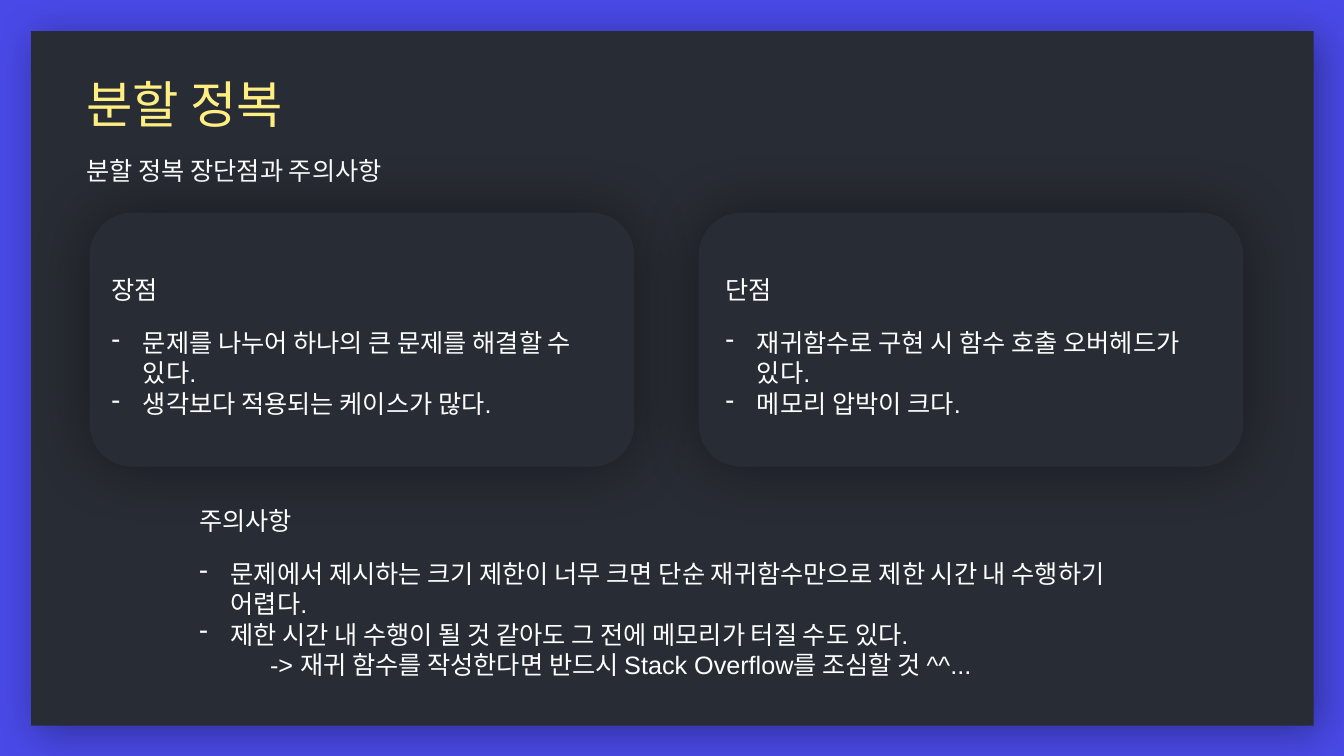
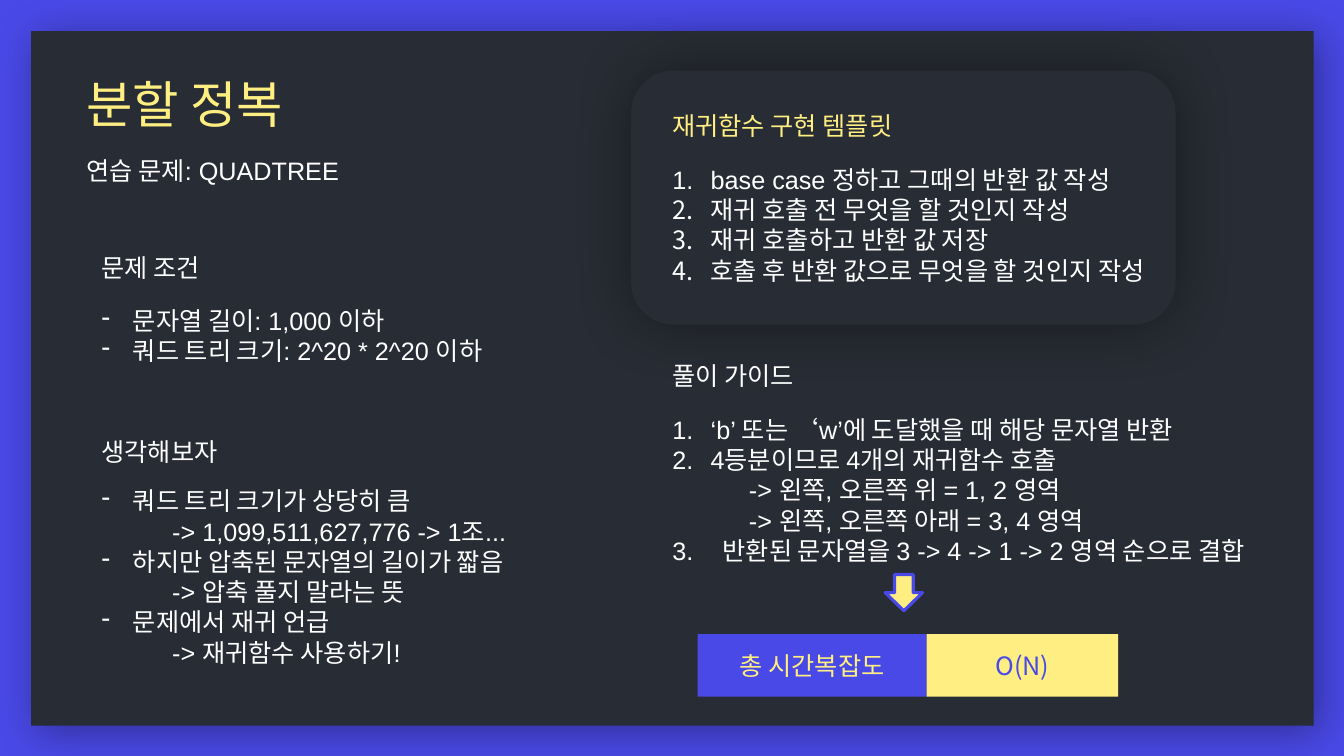
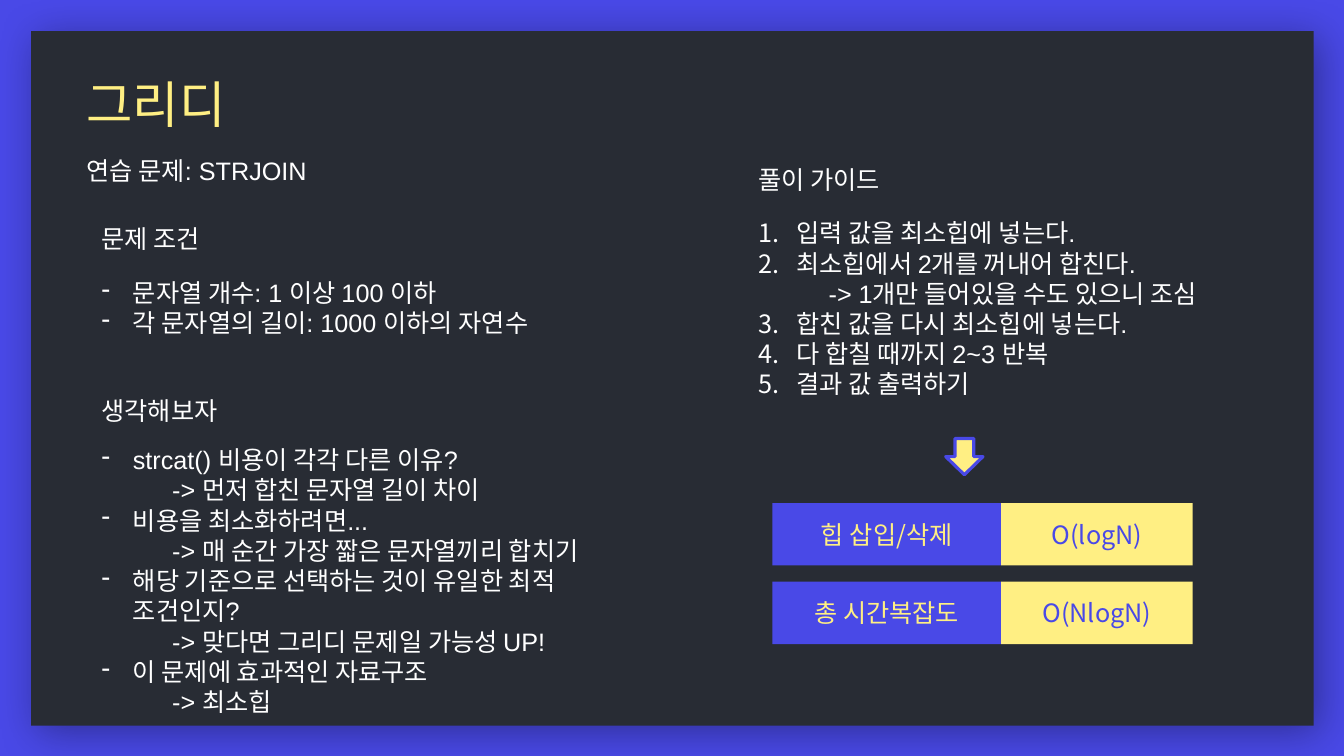
from lxml import etree
from pptx import Presentation
from pptx.dml.color import RGBColor
from pptx.enum.shapes import MSO_SHAPE as SHAPE
from pptx.enum.text import MSO_ANCHOR as ANCHOR, PP_ALIGN as ALIGN
from pptx.oxml.ns import qn
from pptx.util import Inches, Pt

BLUE = RGBColor(0x49, 0x49, 0xE7)
DARK = RGBColor(0x28, 0x2C, 0x34)
YELLOW = RGBColor(0xFF, 0xEF, 0x83)
WHITE = RGBColor(0xFF, 0xFF, 0xFF)
SANS = "Noto Sans CJK KR"
LATIN = "Arial"

DASH, NUMBER, ARROW, TABBED = "dash", "number", "arrow", "tabbed"
HANGING = {DASH: 0.31, NUMBER: 0.38}


def add_shape(slide, kind, left, top, width, height, fill):
    shape = slide.shapes.add_shape(
        kind, Inches(left), Inches(top), Inches(width), Inches(height))
    shape.shadow.inherit = False
    shape.fill.solid()
    shape.fill.fore_color.rgb = fill
    shape.line.fill.background()
    return shape


def add_soft_shadow(shape, opacity, blur, distance=0, angle=0):
    effects = shape._element.spPr.find(qn("a:effectLst"))
    shadow = etree.SubElement(
        effects, qn("a:outerShdw"), blurRad=str(Pt(blur)),
        dist=str(Pt(distance)), dir=str(angle * 60000),
        algn="ctr", rotWithShape="0")
    color = etree.SubElement(shadow, qn("a:srgbClr"), val="000000")
    etree.SubElement(color, qn("a:alpha"), val=str(opacity * 1000))


def write(paragraph, text, color=WHITE, size=18, font=SANS):
    paragraph.line_spacing = Pt(size * 1.2)
    run = paragraph.add_run()
    run.text = text
    run.font.size = Pt(size)
    run.font.color.rgb = color
    run.font.name = font
    etree.SubElement(run.font._element, qn("a:ea"), typeface=SANS)


def add_text_frame(slide, left, top, width, height=0.4):
    box = slide.shapes.add_textbox(
        Inches(left), Inches(top), Inches(width), Inches(height))
    box.text_frame.word_wrap = True
    return box.text_frame


def add_label(slide, text, left, top, width=5.4, height=0.4, **style):
    frame = add_text_frame(slide, left, top, width, height)
    write(frame.paragraphs[0], text, **style)


def indent(paragraph, margin, first_line=0):
    properties = paragraph._p.get_or_add_pPr()
    properties.set("marL", str(Inches(margin)))
    properties.set("indent", str(Inches(first_line)))
    return properties


def add_list(slide, items, left, top, width, arrow_indent=0.7):
    """Write (kind, text) items; numbering resumes after an arrow line."""
    frame = add_text_frame(slide, left, top, width, 0.3 * len(items) + 0.1)
    count, start, previous = 0, 1, None
    for index, (kind, text) in enumerate(items):
        paragraph = frame.add_paragraph() if index else frame.paragraphs[0]
        write(paragraph, text, font=LATIN)
        if kind == ARROW:
            indent(paragraph, arrow_indent)
        elif kind == TABBED:
            tabs = etree.SubElement(indent(paragraph, 0), qn("a:tabLst"))
            etree.SubElement(tabs, qn("a:tab"), pos=str(Inches(0.47)), algn="l")
        else:
            hang = HANGING[kind]
            properties = indent(paragraph, hang, -hang)
            if kind == DASH:
                etree.SubElement(properties, qn("a:buChar"), char="-")
            else:
                count += 1
                if previous != NUMBER:
                    start = count
                etree.SubElement(properties, qn("a:buAutoNum"),
                                 type="arabicPeriod", startAt=str(start))
        previous = kind


def add_section(slide, heading, items, left, top, width,
                gap=0.53, color=WHITE, arrow_indent=0.7):
    add_label(slide, heading, left, top, color=color)
    add_list(slide, items, left, top + gap, width, arrow_indent)


def add_card(slide, left, top):
    card = add_shape(slide, SHAPE.ROUNDED_RECTANGLE, left, top, 5.4, 2.52, DARK)
    add_soft_shadow(card, 40, 45)


def add_down_arrow(slide, left, top):
    arrow = add_shape(slide, SHAPE.DOWN_ARROW, left, top, 0.37, 0.36, YELLOW)
    arrow.line.color.rgb = BLUE
    arrow.line.width = Pt(2.25)


def add_complexity(slide, name, cost, left, top):
    name_width, cost_width = 2.27, 1.9
    for text, x, width, fill, color in (
            (name, left, name_width, BLUE, YELLOW),
            (cost, left + name_width, cost_width, YELLOW, BLUE)):
        cell = add_shape(slide, SHAPE.RECTANGLE, x, top, width, 0.62, fill)
        cell.text_frame.vertical_anchor = ANCHOR.MIDDLE
        paragraph = cell.text_frame.paragraphs[0]
        paragraph.alignment = ALIGN.CENTER
        write(paragraph, text, color)


def new_slide(prs, title, subtitle):
    slide = prs.slides.add_slide(prs.slide_layouts[6])
    slide.background.fill.solid()
    slide.background.fill.fore_color.rgb = BLUE
    panel = add_shape(slide, SHAPE.RECTANGLE, 0.31, 0.31, 12.72, 6.89, DARK)
    add_soft_shadow(panel, 35, 30, 6, 45)
    add_label(slide, title, 0.76, 0.68, 7.64, 0.71, color=YELLOW, size=36)
    add_label(slide, subtitle, 0.76, 1.49, 3.18, font=LATIN)
    return slide


def build_pros_and_cons(prs):
    slide = new_slide(prs, "분할 정복", "분할 정복 장단점과 주의사항")
    card_text_width = 5
    for left in (6.93, 0.89):
        add_card(slide, left, 2.11)
    add_section(slide, "장점", [
        (DASH, "문제를 나누어 하나의 큰 문제를 해결할 수 있다."),
        (DASH, "생각보다 적용되는 케이스가 많다."),
    ], 1.01, 2.67, card_text_width)
    add_section(slide, "단점", [
        (DASH, "재귀함수로 구현 시 함수 호출 오버헤드가 있다."),
        (DASH, "메모리 압박이 크다."),
    ], 7.1, 2.67, card_text_width)
    add_section(slide, "주의사항", [
        (DASH, "문제에서 제시하는 크기 제한이 너무 크면 단순 재귀함수만으로 "
               "제한 시간 내 수행하기 어렵다."),
        (DASH, "제한 시간 내 수행이 될 것 같아도 그 전에 메모리가 터질 수도 있다."),
        (ARROW, "-> 재귀 함수를 작성한다면 반드시 Stack Overflow를 조심할 것 ^^..."),
    ], 1.88, 4.96, 9.75)


def build_quadtree(prs):
    slide = new_slide(prs, "분할 정복", "연습 문제: QUADTREE")
    add_card(slide, 6.26, 0.7)
    add_section(slide, "문제 조건", [
        (DASH, "문자열 길이: 1,000 이하"),
        (DASH, "쿼드 트리 크기: 2^20 * 2^20 이하"),
    ], 0.91, 2.45, 4.18)
    add_section(slide, "생각해보자", [
        (DASH, "쿼드 트리 크기가 상당히 큼"),
        (ARROW, "-> 1,099,511,627,776 -> 1조..."),
        (DASH, "하지만 압축된 문자열의 길이가 짧음"),
        (ARROW, "-> 압축 풀지 말라는 뜻"),
        (DASH, "문제에서 재귀 언급"),
        (ARROW, "-> 재귀함수 사용하기!"),
    ], 0.91, 4.28, 5.02, gap=0.49)
    add_section(slide, "재귀함수 구현 템플릿", [
        (NUMBER, "base case 정하고 그때의 반환 값 작성"),
        (NUMBER, "재귀 호출 전 무엇을 할 것인지 작성"),
        (NUMBER, "재귀 호출하고 반환 값 저장"),
        (NUMBER, "호출 후 반환 값으로 무엇을 할 것인지 작성"),
    ], 6.57, 1.05, 5.98, color=YELLOW)
    add_section(slide, "풀이 가이드", [
        (NUMBER, "‘b’ 또는 ‘w’에 도달했을 때 해당 문자열 반환"),
        (NUMBER, "4등분이므로 4개의 재귀함수 호출"),
        (ARROW, "-> 왼쪽, 오른쪽 위 = 1, 2 영역"),
        (ARROW, "-> 왼쪽, 오른쪽 아래 = 3, 4 영역"),
        (TABBED, "3.\t반환된 문자열을 3 -> 4 -> 1 -> 2 영역 순으로 결합"),
    ], 6.57, 3.53, 5.98, arrow_indent=0.76)
    add_down_arrow(slide, 8.78, 5.7)
    add_complexity(slide, "총 시간복잡도", "O(N)", 6.92, 6.29)


def build_strjoin(prs):
    slide = new_slide(prs, "그리디", "연습 문제: STRJOIN")
    add_section(slide, "문제 조건", [
        (DASH, "문자열 개수: 1 이상 100 이하"),
        (DASH, "각 문자열의 길이: 1000 이하의 자연수"),
    ], 0.91, 2.17, 4.47)
    add_section(slide, "생각해보자", [
        (DASH, "strcat() 비용이 각각 다른 이유?"),
        (ARROW, "-> 먼저 합친 문자열 길이 차이"),
        (DASH, "비용을 최소화하려면..."),
        (ARROW, "-> 매 순간 가장 짧은 문자열끼리 합치기"),
        (DASH, "해당 기준으로 선택하는 것이 유일한 최적 조건인지?"),
        (ARROW, "-> 맞다면 그리디 문제일 가능성 UP!"),
        (DASH, "이 문제에 효과적인 자료구조"),
        (ARROW, "-> 최소힙"),
    ], 0.91, 3.87, 5.65, gap=0.49)
    add_section(slide, "풀이 가이드", [
        (NUMBER, "입력 값을 최소힙에 넣는다."),
        (NUMBER, "최소힙에서 2개를 꺼내어 합친다."),
        (ARROW, "-> 1개만 들어있을 수도 있으니 조심"),
        (NUMBER, "합친 값을 다시 최소힙에 넣는다."),
        (NUMBER, "다 합칠 때까지 2~3 반복"),
        (NUMBER, "결과 값 출력하기"),
    ], 7.42, 1.58, 5.98)
    add_down_arrow(slide, 9.38, 4.35)
    costs = (("힙 삽입/삭제", "O(logN)"), ("총 시간복잡도", "O(NlogN)"))
    for row, (name, cost) in enumerate(costs):
        add_complexity(slide, name, cost, 7.66, 4.99 + 0.78 * row)


def main():
    prs = Presentation()
    prs.slide_width = Inches(13.33)
    prs.slide_height = Inches(7.5)
    build_pros_and_cons(prs)
    build_quadtree(prs)
    build_strjoin(prs)
    prs.save("out.pptx")


if __name__ == "__main__":
    main()
